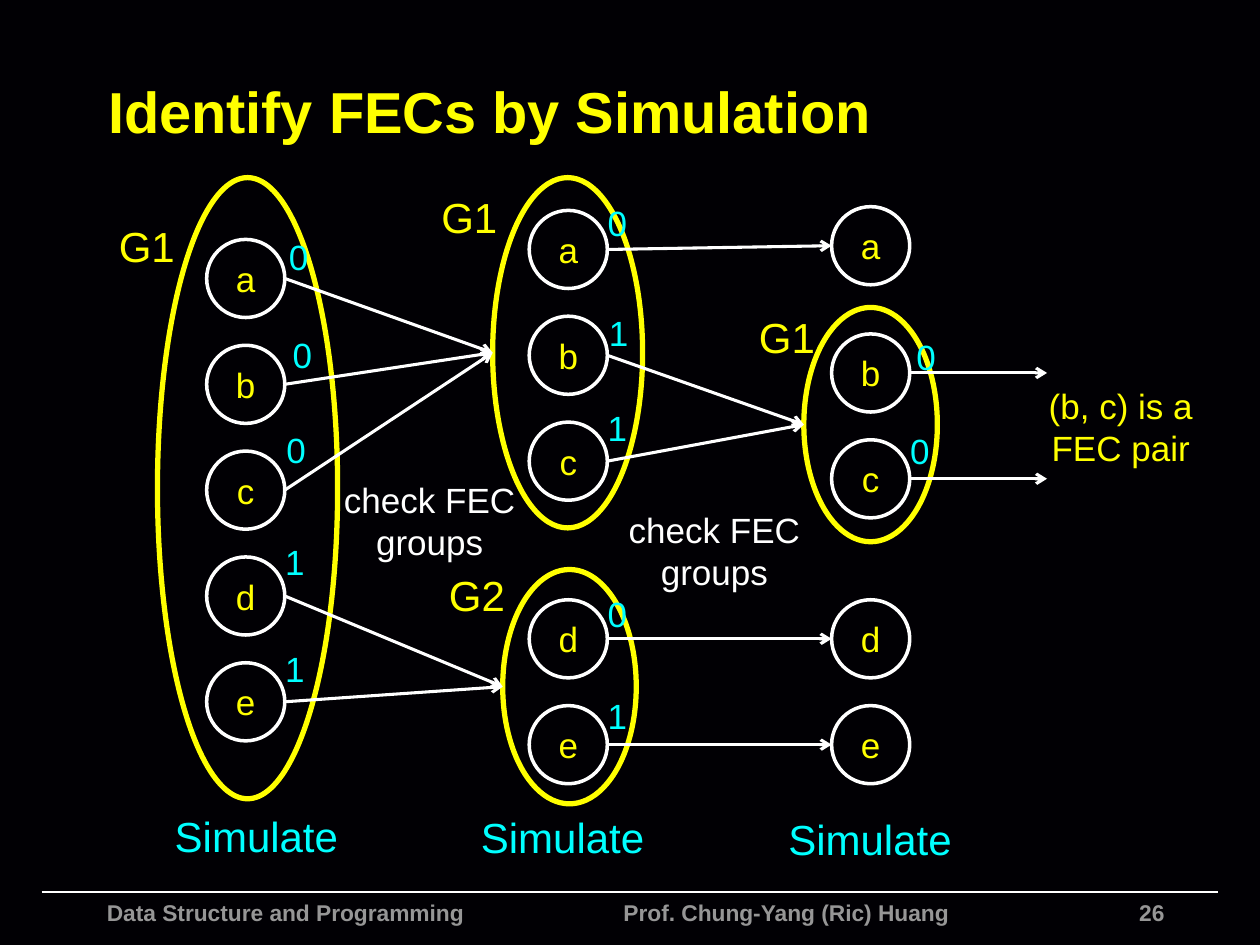
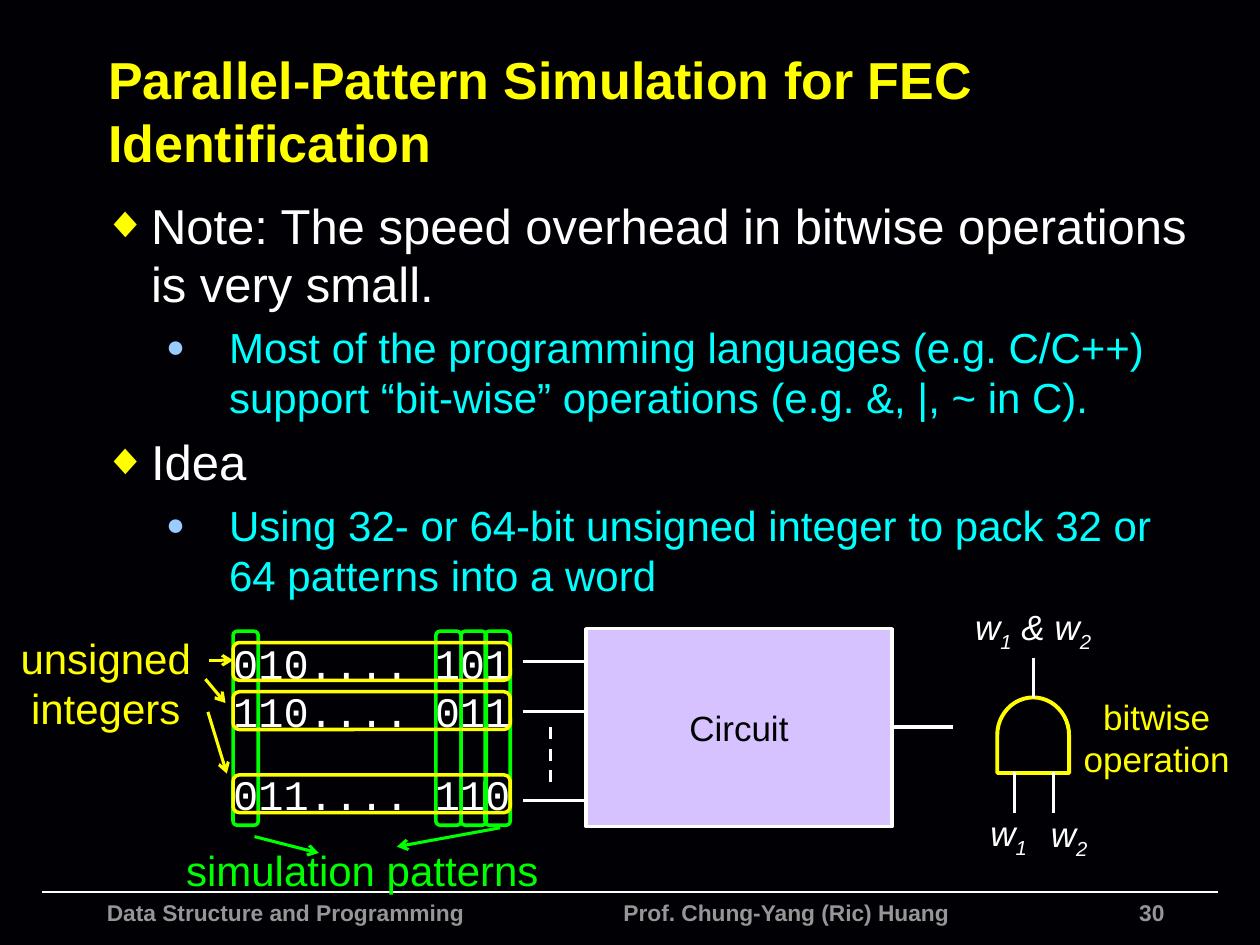
from dataclasses import dataclass
from typing import Optional

from lxml.etree import SubElement
from pptx import Presentation
from pptx.dml.color import RGBColor
from pptx.enum.dml import MSO_LINE_DASH_STYLE as Dash
from pptx.enum.shapes import MSO_CONNECTOR as Link, MSO_SHAPE as Preset
from pptx.enum.text import MSO_ANCHOR as Anchor, PP_ALIGN as Align
from pptx.oxml.ns import qn
from pptx.slide import Slide
from pptx.util import Cm, Length, Pt

# Shared look
BACKGROUND, WHITE, BLACK = "010004", "FFFFFF", "000000"
YELLOW, CYAN, GREEN = "FFFF00", "00FFFF", "00FF00"
GREY, PALE_BLUE, LILAC = "969696", "99CCFF", "D6C2FF"
SANS, MONO = "Arial", "Courier New"

Point = tuple[float, float]
Box = tuple[float, float, float, float]


def length(inches: float) -> Length:
    """The layout grid is in inches; lengths are handed over in centimetres."""
    return Cm(inches * 2.54)


def rgb(value: str) -> RGBColor:
    return RGBColor.from_string(value)


@dataclass(frozen=True)
class Label:
    text: str
    box: Box
    color: str = WHITE
    size: float = 20
    font: str = SANS
    bold: bool = False
    wrap: bool = False
    align: Align = Align.CENTER
    anchor: Anchor = Anchor.TOP


# Drawing helpers
def style_runs(paragraph, color: str, size: float, font: str = SANS, bold: bool = False) -> None:
    for run in paragraph.runs:
        run.font.name, run.font.size, run.font.bold = font, Pt(size), bold
        run.font.color.rgb = rgb(color)


def add_label(slide: Slide, label: Label) -> None:
    frame = slide.shapes.add_textbox(*map(length, label.box)).text_frame
    frame.word_wrap, frame.vertical_anchor = label.wrap, label.anchor
    frame.text = label.text
    frame.paragraphs[0].alignment = label.align
    style_runs(frame.paragraphs[0], label.color, label.size, label.font, label.bold)


def add_outline(slide: Slide, preset: Preset, box: Box, color: str, width: float,
                text: str = "", text_color: str = YELLOW, fill: Optional[str] = None):
    shape = slide.shapes.add_shape(preset, *map(length, box))
    shape.shadow.inherit = False
    if fill:
        shape.fill.solid()
        shape.fill.fore_color.rgb = rgb(fill)
    else:
        shape.fill.background()
    shape.line.color.rgb, shape.line.width = rgb(color), Pt(width)
    if text:
        shape.text_frame.text = text
        shape.text_frame.vertical_anchor = Anchor.MIDDLE
        shape.text_frame.paragraphs[0].alignment = Align.CENTER
        style_runs(shape.text_frame.paragraphs[0], text_color, 20)
    return shape


def add_line(slide: Slide, start: Point, end: Point, color: str = WHITE,
             width: float = 1.75, arrow: bool = False, dashed: bool = False) -> None:
    line = slide.shapes.add_connector(Link.STRAIGHT, *map(length, start + end))
    line.line.color.rgb, line.line.width = rgb(color), Pt(width)
    if dashed:
        line.line.dash_style = Dash.DASH
    properties = line.element.spPr
    if arrow:
        SubElement(properties.find(qn("a:ln")), qn("a:tailEnd"), type="arrow")
    SubElement(properties, qn("a:effectLst"))


def new_slide(title: str, title_size: float, number: int) -> Slide:
    slide = deck.slides.add_slide(deck.slide_layouts[6])
    slide.background.fill.solid()
    slide.background.fill.fore_color.rgb = rgb(BACKGROUND)
    add_line(slide, (0.33, 7.08), (9.67, 7.08), width=1)
    for text, left, width, align in (
        ("Data Structure and Programming", 0.75, 4, Align.LEFT),
        ("Prof. Chung-Yang (Ric) Huang", 4.85, 3.14, Align.LEFT),
        (str(number), 8.34, 1, Align.RIGHT),
    ):
        add_label(slide, Label(text, (left, 7.08, width, 0.42), GREY, 13, bold=True,
                               wrap=True, align=align))
    add_label(slide, Label(title, (0.76, 0.37, 8.84, 1.01), YELLOW, title_size, bold=True,
                           wrap=True, align=Align.LEFT, anchor=Anchor.MIDDLE))
    return slide


deck = Presentation()
deck.slide_width, deck.slide_height = length(10), length(7.5)


# Slide 26: signals split into groups by simulated value
NODE, NODE_PITCH = 0.62, 0.84


@dataclass(frozen=True)
class Cluster:
    """Signals stacked in one column, perhaps circled as a group."""
    signals: str
    left: float
    top: float
    values: str = ""
    value_spots: tuple[Point, ...] = ()
    group: str = ""
    group_spot: Point = (0, 0)
    ring: Optional[Box] = None

    def node(self, signal: str) -> Point:
        return self.left, self.top + NODE_PITCH * self.signals.index(signal)

    def exit(self, signal: str) -> Point:
        left, top = self.node(signal)
        return left + NODE, top + NODE / 2

    def entry(self, signal: str) -> Point:
        if self.ring:
            left, top, _, height = self.ring
            return left, top + height / 2
        left, top = self.node(signal)
        return left, top + NODE / 2


FIRST, SECOND, THIRD = 1.64, 4.2, 6.6
stages = (
    (Cluster("abcde", FIRST, 1.9, "00011",
             ((2.19, 1.82), (2.22, 2.6), (2.17, 3.35), (2.16, 4.24), (2.16, 5.09)),
             "G1", (0.84, 1.7), (1.25, 1.41, 1.43, 4.93)),),
    (Cluster("abc", SECOND, 1.67, "011", ((4.72, 1.55), (4.73, 2.42), (4.72, 3.18)),
             "G1", (3.4, 1.47), (3.91, 1.41, 1.19, 2.78)),
     Cluster("de", SECOND, 4.76, "01", ((4.72, 4.65), (4.72, 5.46)),
             "G2", (3.46, 4.47), (3.99, 4.52, 1.06, 1.86))),
    (Cluster("a", THIRD, 1.64),
     Cluster("bc", THIRD, 2.65, "00", ((7.17, 2.61), (7.12, 3.36)),
             "G1", (5.92, 2.42), (6.38, 2.44, 1.06, 1.86)),
     Cluster("de", THIRD, 4.76)),
)

grouping = new_slide("Identify FECs by Simulation", 33, 26)
for stage in stages:
    for cluster in stage:
        for signal in cluster.signals:
            add_outline(grouping, Preset.OVAL, (*cluster.node(signal), NODE, NODE),
                        WHITE, 2, signal)
        if cluster.ring:
            add_outline(grouping, Preset.OVAL, cluster.ring, YELLOW, 3)
            add_label(grouping, Label(cluster.group, (*cluster.group_spot, 0.65, 0.5), YELLOW, 24))

# Arrows from each signal to its place in the next stage
for stage, following in zip(stages, stages[1:]):
    for cluster in stage:
        for signal in cluster.signals:
            target = next(c for c in following if signal in c.signals)
            add_line(grouping, cluster.exit(signal), target.entry(signal), arrow=True)
pair = stages[2][1]
for signal in pair.signals:
    x, y = pair.exit(signal)
    add_line(grouping, (x, y), (8.31, y), arrow=True)

for stage in stages:
    for cluster in stage:
        for value, spot in zip(cluster.values, cluster.value_spots):
            add_label(grouping, Label(value, (*spot, 0.36, 0.44), CYAN))

for spot in ((1.28, 6.38), (3.71, 6.39), (6.15, 6.41)):
    add_label(grouping, Label("Simulate", (*spot, 1.51, 0.51), CYAN, 24))
for spot in ((2.32, 3.75), (4.58, 3.99)):
    add_label(grouping, Label("check FEC groups", (*spot, 2.18, 0.77), wrap=True))
add_label(grouping, Label("(b, c) is a FEC pair", (8.19, 3, 1.41, 0.77), YELLOW, wrap=True))


# Slide 30: packing patterns into words
@dataclass(frozen=True)
class Level:
    color: str
    size: float
    margin: float
    hang: float
    bullet: str
    bullet_color: str
    bullet_percent: int


POINT = Level(WHITE, 28, 0.38, 0.38, "◆", YELLOW, 90)
DETAIL = Level(CYAN, 24, 1, 0.5, "●", PALE_BLUE, 75)


def add_bullets(slide: Slide, box: Box, items: tuple[tuple[Level, str], ...]) -> None:
    frame = slide.shapes.add_textbox(*map(length, box)).text_frame
    frame.word_wrap = True
    for index, (level, text) in enumerate(items):
        paragraph = frame.add_paragraph() if index else frame.paragraphs[0]
        paragraph.text = text
        paragraph.space_before = Pt(level.size * 0.2)
        style_runs(paragraph, level.color, level.size)
        settings = paragraph._p.get_or_add_pPr()
        settings.set("marL", str(length(level.margin)))
        settings.set("indent", str(-length(level.hang)))
        tint = SubElement(settings, qn("a:buClr"))
        SubElement(tint, qn("a:srgbClr"), val=level.bullet_color)
        SubElement(settings, qn("a:buSzPct"), val=str(level.bullet_percent * 1000))
        SubElement(settings, qn("a:buFont"), typeface=SANS)
        SubElement(settings, qn("a:buChar"), char=level.bullet)


def add_word_name(slide: Slide, box: Box, text: str) -> None:
    """Italic formula in which digits are subscripts."""
    frame = slide.shapes.add_textbox(*map(length, box)).text_frame
    frame.word_wrap = False
    paragraph = frame.paragraphs[0]
    paragraph.alignment = Align.CENTER
    for part in text.replace("1", "|1|").replace("2", "|2|").strip("|").split("|"):
        run = paragraph.add_run()
        run.text, run.font.italic = part, True
        if part.isdigit():
            run._r.get_or_add_rPr().set("baseline", "-25000")
    style_runs(paragraph, WHITE, 20)


packing = new_slide("Parallel-Pattern Simulation for FEC Identification", 29.7, 30)
add_bullets(packing, (0.72, 1.5, 8.89, 5.17), (
    (POINT, "Note: The speed overhead in bitwise operations is very small."),
    (DETAIL, "Most of the programming languages (e.g. C/C++) support “bit-wise” "
             "operations (e.g. &, |, ~ in C)."),
    (POINT, "Idea"),
    (DETAIL, "Using 32- or 64-bit unsigned integer to pack 32 or 64 patterns into a word"),
))

# Words (rows) and patterns (columns)
words = (("010.... 101", 5.01, 5.1), ("110.... 011", 5.39, 5.49), ("011.... 110", 6.05, 6.15))
for bits, text_top, _ in words:
    add_label(packing, Label(bits, (1.74, text_top, 2.42, 0.51), size=24, font=MONO))
for left in (3.85, 3.66, 3.46, 1.85):
    add_outline(packing, Preset.ROUNDED_RECTANGLE, (left, 5.01, 0.2, 1.54), GREEN, 2)
for _, _, frame_top in words:
    add_outline(packing, Preset.ROUNDED_RECTANGLE, (1.85, frame_top, 2.2, 0.3), YELLOW, 2)

add_label(packing, Label("unsigned integers", (0.06, 4.97, 1.56, 0.91), YELLOW, 24, wrap=True))
add_label(packing, Label("simulation patterns", (1.35, 6.65, 3.05, 0.51), GREEN, 24, wrap=True))
for start, end, color in (
    ((1.66, 5.24), (1.85, 5.24), YELLOW),
    ((1.63, 5.39), (1.79, 5.58), YELLOW),
    ((1.65, 5.65), (1.8, 6.14), YELLOW),
    ((2.02, 6.64), (2.53, 6.77), GREEN),
    ((3.97, 6.57), (3.15, 6.72), GREEN),
):
    add_line(packing, start, end, color, arrow=True)

# Circuit with its inputs and output
add_outline(packing, Preset.RECTANGLE, (4.65, 4.99, 2.43, 1.57), WHITE, 2,
            "Circuit", BLACK, LILAC)
for left, y in ((4.15, 5.25), (4.15, 5.65), (4.15, 6.35), (7.07, 5.77)):
    add_line(packing, (left, y), (left + 0.49, y))
add_line(packing, (4.37, 5.77), (4.37, 6.26), dashed=True)

# AND gate on whole words
gate = add_outline(packing, Preset.FLOWCHART_DELAY, (7.9, 5.55, 0.6, 0.57), YELLOW, 2.25)
gate.rotation = 270
for x, top in ((8.05, 6.13), (8.36, 6.13), (8.2, 5.22)):
    add_line(packing, (x, top), (x, top + 0.32))
add_word_name(packing, (7.75, 6.39, 0.51, 0.44), "w1")
add_word_name(packing, (8.23, 6.4, 0.51, 0.44), "w2")
add_word_name(packing, (7.62, 4.76, 1.16, 0.44), "w1 & w2")
add_label(packing, Label("bitwise operation", (8.44, 5.47, 1.48, 0.77), YELLOW, wrap=True))

deck.save("out.pptx")
